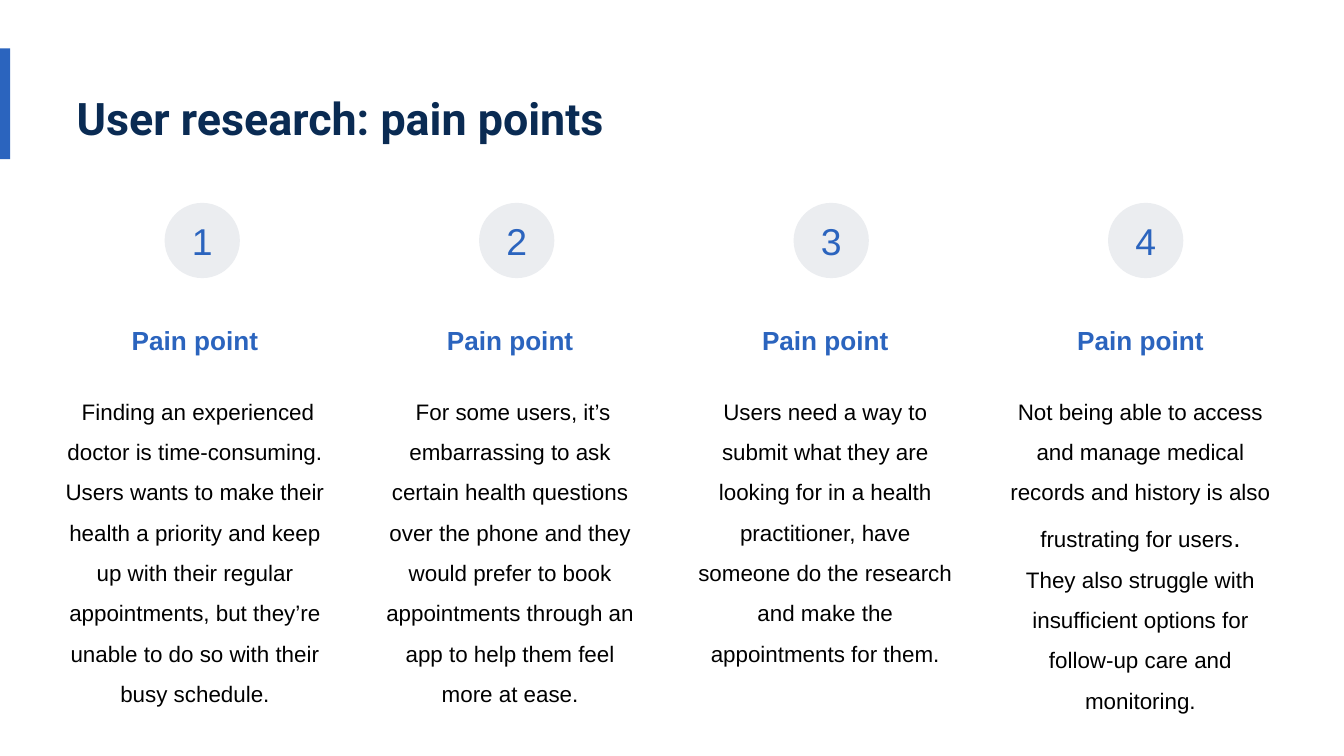
"""Build the slide 'User research: pain points' with four numbered columns."""
from dataclasses import dataclass

from pptx import Presentation
from pptx import util as u
from pptx.dml.color import RGBColor
from pptx.enum import shapes, text

PX = 4572


@dataclass(frozen=True)
class Theme:
    navy: str = "0A2B53"
    blue: str = "2B64BE"
    grey: str = "EBEDF0"
    black: str = "000000"
    head_font: str = "Roboto"
    body_font: str = "Arial"
    title: int = 24
    number: int = 20
    label: int = 14
    body: int = 12


theme = Theme()


def set_frame(sp, insets, anchor=text.MSO_ANCHOR.TOP, grow=True):
    tf = sp.text_frame
    tf.word_wrap = True
    tf.auto_size = text.MSO_AUTO_SIZE.SHAPE_TO_FIT_TEXT if grow else text.MSO_AUTO_SIZE.NONE
    tf.vertical_anchor = anchor
    tf.margin_left, tf.margin_top, tf.margin_right, tf.margin_bottom = [n * PX for n in insets]
    return tf


def add_run(p, words, size, color, bold=False, font=theme.body_font):
    r = p.add_run()
    r.text = words
    r.font.name = font
    r.font.size = u.Pt(size)
    r.font.bold = bold
    r.font.color.rgb = RGBColor.from_string(color)


prs = Presentation()
prs.slide_width, prs.slide_height = 2000 * PX, 1125 * PX
s = prs.slides.add_slide(prs.slide_layouts[5])

bar = s.shapes.add_shape(shapes.MSO_SHAPE.RECTANGLE, 0, 72 * PX, 15 * PX, 165 * PX)
bar.shadow.inherit = False
bar.fill.solid()
bar.fill.fore_color.rgb = RGBColor.from_string(theme.blue)
bar.line.fill.background()

INSETS = (0, 20, 20, 20)
title = s.shapes.title
title.left, title.top, title.width, title.height = [n * PX for n in (114, 115, 1346, 122)]
p = set_frame(title, INSETS).paragraphs[0]
p.alignment = text.PP_ALIGN.LEFT
add_run(p, "User research: pain points", theme.title, theme.navy, True, theme.head_font)

columns = [
    (504, [[(" Finding an experienced doctor is time-consuming.", theme.body)],
           [("Users wants to make their health a priority and keep up with their regular "
             "appointments, but they’re unable to do so with their busy schedule.", theme.body)]]),
    (504, [[(" For some users, it’s embarrassing to ask certain health questions over the phone "
             "and they would prefer to book appointments through an app to help them feel more "
             "at ease.", theme.body)]]),
    (444, [[("Users need a way to submit what they are looking for in a health practitioner, "
             "have someone do the research and make the appointments for them.", theme.body)]]),
    (576, [[("Not being able to access and manage medical records and history is also "
             "frustrating for users", theme.body), (".", theme.label)],
           [("They also struggle with insufficient options for follow-up care and monitoring.",
             theme.body)]]),
]
TEXT_LEFT, TEXT_PITCH, TEXT_WIDTH = 95, 469, 410
CIRCLE_LEFT, CIRCLE_PITCH, CIRCLE = 245, 468, 112

for i, (height, paragraphs) in enumerate(columns):
    circle = s.shapes.add_shape(shapes.MSO_SHAPE.OVAL, (CIRCLE_LEFT + i * CIRCLE_PITCH) * PX,
                                302 * PX, CIRCLE * PX, CIRCLE * PX)
    circle.shadow.inherit = False
    circle.fill.solid()
    circle.fill.fore_color.rgb = RGBColor.from_string(theme.grey)
    circle.line.fill.background()
    p = set_frame(circle, (0, 0, 0, 0), text.MSO_ANCHOR.MIDDLE, False).paragraphs[0]
    p.alignment = text.PP_ALIGN.CENTER
    add_run(p, str(i + 1), theme.number, theme.blue)

    x = TEXT_LEFT + i * TEXT_PITCH
    label = s.shapes.add_textbox(x * PX, 440 * PX, TEXT_WIDTH * PX, 88 * PX)
    p = set_frame(label, INSETS).paragraphs[0]
    p.alignment = text.PP_ALIGN.CENTER
    p.line_spacing = 1.5
    add_run(p, "Pain point", theme.label, theme.blue, True)

    body = s.shapes.add_textbox(x * PX, 552 * PX, TEXT_WIDTH * PX, height * PX)
    tf = set_frame(body, INSETS)
    for k, runs in enumerate(paragraphs):
        p = tf.add_paragraph() if k else tf.paragraphs[0]
        p.alignment = text.PP_ALIGN.CENTER
        p.line_spacing = 1.5
        for words, size in runs:
            add_run(p, words, size, theme.black)

prs.save("out.pptx")
